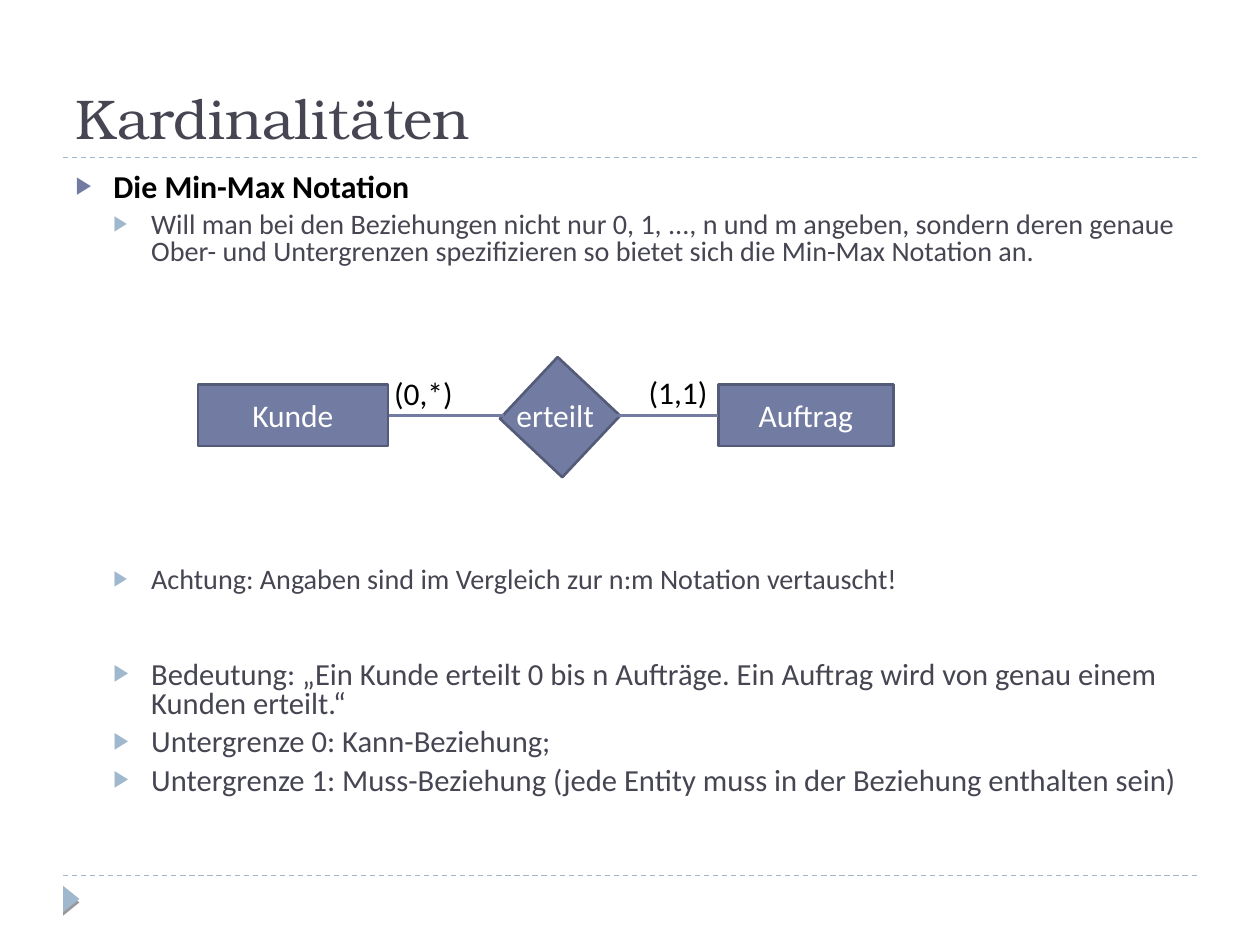
from lxml.etree import SubElement
from pptx import Presentation
from pptx.dml.color import RGBColor
from pptx.enum.dml import MSO_LINE
from pptx.enum.shapes import MSO_CONNECTOR, MSO_SHAPE
from pptx.enum.text import MSO_ANCHOR, MSO_AUTO_SIZE, PP_ALIGN
from pptx.oxml.ns import qn
from pptx.util import Inches, Pt

UNIT = Inches(0.1)
COLS, ROWS = 100, 75
INK = RGBColor(0x46, 0x46, 0x53)
BLACK = RGBColor(0, 0, 0)
WHITE = RGBColor(0xFF, 0xFF, 0xFF)
SLATE = RGBColor(0x72, 0x7C, 0xA3)
EDGE = RGBColor(0x54, 0x5B, 0x78)
MIST = RGBColor(0x9F, 0xB8, 0xCD)

MARGIN = 5
AXIS = 33
ENTITY_TOP, ENTITY_H = 30.5, 4.9
LABEL_H = 4

LEVELS = [
    {"indent": 0.3, "bullet": SLATE, "color": BLACK, "bold": True},
    {"indent": 0.6, "bullet": MIST, "color": INK, "bold": False},
]
BULLETS = [
    (0, 18.2, 6, "Die Min-Max Notation"),
    (1, 16.1, 5, "Will man bei den Beziehungen nicht nur 0, 1, ..., n und m angeben, "
                 "sondern deren genaue Ober- und Untergrenzen spezifizieren so bietet "
                 "sich die Min-Max Notation an."),
    (1, 16.1, 172, "Achtung: Angaben sind im Vergleich zur n:m Notation vertauscht!"),
    (1, 17.5, 38, "Bedeutung: „Ein Kunde erteilt 0 bis n Aufträge. Ein Auftrag wird "
                  "von genau einem Kunden erteilt.“"),
    (1, 17.5, 5, "Untergrenze 0: Kann-Beziehung;"),
    (1, 17.5, 5, "Untergrenze 1: Muss-Beziehung (jede Entity muss in der Beziehung "
                 "enthalten sein)"),
]


def grid(*cells):
    return [round(c * UNIT) for c in cells]


def apply(obj, values):
    for name, value in values.items():
        setattr(obj, name, value)


def place(sp, *cells):
    apply(sp, dict(zip(("left", "top", "width", "height"), grid(*cells))))


def write(p, text, size, color, font="Calibri", bold=False):
    r = p.add_run()
    r.text = text
    apply(r.font, {"size": Pt(size), "name": font, "bold": bold})
    r.font.color.rgb = color


def add_bullet(p, color):
    pPr = p._p.get_or_add_pPr()
    clr = SubElement(pPr, qn("a:buClr"))
    SubElement(clr, qn("a:srgbClr"), val=str(color))
    SubElement(pPr, qn("a:buSzPct"), val="76000")
    SubElement(pPr, qn("a:buFont"), typeface="Calibri")
    SubElement(pPr, qn("a:buChar"), char="▶")


def add_title(s, text):
    sp = s.shapes.title
    place(sp, MARGIN, 1.7, COLS - 2 * MARGIN, 10.8)
    tf = sp.text_frame
    apply(tf, {"vertical_anchor": MSO_ANCHOR.BOTTOM, "auto_size": MSO_AUTO_SIZE.NONE})
    p = tf.paragraphs[0]
    p.alignment = PP_ALIGN.LEFT
    write(p, text, 32, INK, "TeX Gyre Bonum")


def add_list(s, items):
    sp = s.placeholders[1]
    place(sp, MARGIN, 13.3, COLS - 2 * MARGIN, 54)
    tf = sp.text_frame
    tf.auto_size = MSO_AUTO_SIZE.NONE
    for i, (level, size, before, text) in enumerate(items):
        p = tf.add_paragraph() if i else tf.paragraphs[0]
        style = LEVELS[level]
        apply(p, {"level": level, "line_spacing": 0.8, "space_before": Pt(before)})
        pPr = p._p.get_or_add_pPr()
        pPr.set("marL", str(Inches(style["indent"])))
        pPr.set("indent", str(-Inches(0.3)))
        add_bullet(p, style["bullet"])
        write(p, text, size, style["color"], bold=style["bold"])


def add_line(s, x1, x2, y, color, width, dash=None):
    ln = s.shapes.add_connector(MSO_CONNECTOR.STRAIGHT, *grid(x1, y, x2, y))
    ln.line.color.rgb = color
    apply(ln.line, {"width": Pt(width), "dash_style": dash})
    SubElement(ln._element.spPr, qn("a:effectLst"))


def add_block(s, cells, text="", rotation=0):
    sp = s.shapes.add_shape(MSO_SHAPE.RECTANGLE, *grid(*cells))
    sp.shadow.inherit = False
    sp.rotation = rotation
    sp.fill.solid()
    sp.fill.fore_color.rgb = SLATE
    sp.line.color.rgb = EDGE
    sp.line.width = Pt(1.5)
    if text:
        sp.text_frame.vertical_anchor = MSO_ANCHOR.MIDDLE
        p = sp.text_frame.paragraphs[0]
        p.alignment = PP_ALIGN.CENTER
        write(p, text, 18, WHITE)


def add_label(s, x, y, w, text, color):
    sp = s.shapes.add_textbox(*grid(x, y, w, LABEL_H))
    tf = sp.text_frame
    apply(tf, {"word_wrap": False, "auto_size": MSO_AUTO_SIZE.SHAPE_TO_FIT_TEXT})
    write(tf.paragraphs[0], text, 18, color)


def add_marker(s):
    sp = s.shapes.add_shape(MSO_SHAPE.ISOSCELES_TRIANGLE, *grid(4.6, 70.7, 2.1, 1.3))
    sp.rotation = 90
    sp.fill.solid()
    sp.fill.fore_color.rgb = MIST
    sp.line.fill.background()
    effects = SubElement(sp._element.spPr, qn("a:effectLst"))
    shadow = SubElement(effects, qn("a:outerShdw"), blurRad="0", dist=str(Pt(2)),
                        dir="5400000", rotWithShape="0")
    clr = SubElement(shadow, qn("a:srgbClr"), val=str(BLACK))
    SubElement(clr, qn("a:alpha"), val="40000")


def add_diagram(s):
    add_block(s, (15.7, ENTITY_TOP, 15.1, ENTITY_H), "Kunde")
    add_block(s, (41.1, 29.7, 6.7, 6.8), rotation=313.2)
    add_label(s, 40, 30.9, 8.8, "erteilt", WHITE)
    add_block(s, (57, ENTITY_TOP, 13.9, ENTITY_H), "Auftrag")
    for x1, x2 in ((30.9, 40), (48.8, 57)):
        add_line(s, x1, x2, AXIS, SLATE, 1.5)
    add_label(s, 30.3, 29.2, 7.8, "(0,*)", BLACK)
    add_label(s, 50.5, 29.1, 7.9, "(1,1)", BLACK)


def main():
    prs = Presentation()
    apply(prs, {"slide_width": COLS * UNIT, "slide_height": ROWS * UNIT})
    s = prs.slides.add_slide(prs.slide_layouts[1])
    for y in (69.5, 12.5):
        add_line(s, MARGIN, COLS - MARGIN, y, MIST, 0.75, MSO_LINE.DASH)
    add_marker(s)
    add_title(s, "Kardinalitäten")
    add_list(s, BULLETS)
    add_diagram(s)
    prs.save("out.pptx")


if __name__ == "__main__":
    main()
